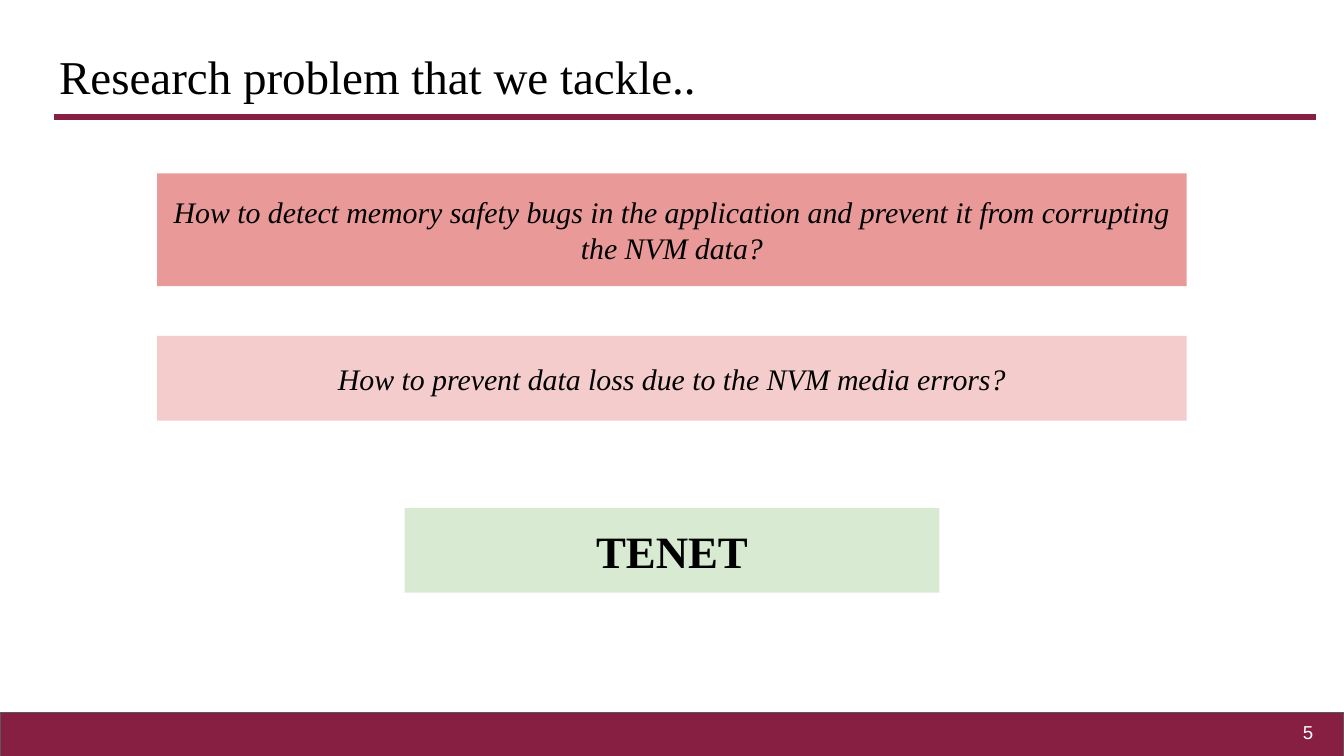
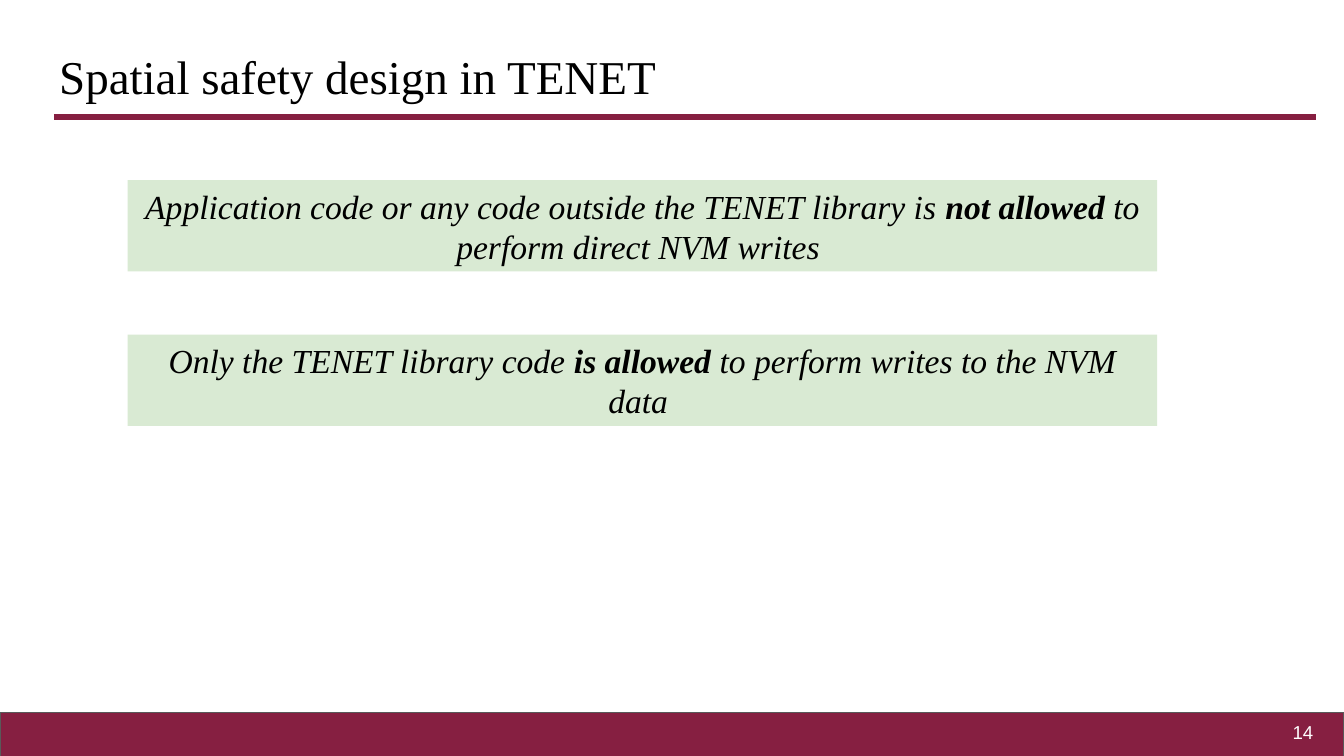
from pptx import Presentation
from pptx.dml.color import RGBColor
from pptx.enum.shapes import MSO_CONNECTOR, MSO_SHAPE
from pptx.enum.text import MSO_ANCHOR, MSO_AUTO_SIZE, PP_ALIGN
from pptx.oxml.ns import qn
from pptx.util import Inches, Pt
from lxml import etree

RECTANGLE = MSO_SHAPE.RECTANGLE
STRAIGHT = MSO_CONNECTOR.STRAIGHT
LEFT, CENTER, RIGHT = PP_ALIGN.LEFT, PP_ALIGN.CENTER, PP_ALIGN.RIGHT
MIDDLE, BOTTOM = MSO_ANCHOR.MIDDLE, MSO_ANCHOR.BOTTOM
NO_AUTOFIT = MSO_AUTO_SIZE.NONE

MAROON, GREY, WHITE, BLACK = "861F41", "595959", "FFFFFF", "000000"
ROSE, PINK, GREEN = "EA9999", "F4CCCC", "D9EAD3"
SERIF, SANS = "Times New Roman", "Arial"
PAGE_WIDTH = 10
PAGE_HEIGHT = PAGE_WIDTH * 9 / 16
TITLE_BOX = (0.34, 0.24, 9.32, 0.63)
FOOTER_BOX = (0, 5.3, PAGE_WIDTH, 0.33)
STATEMENT_WIDTH = 7.66


def color(value):
    """Turn a hex string into a colour."""
    return RGBColor.from_string(value)


def lengths(box):
    """Turn a box in inches into lengths."""
    return [Inches(value) for value in box]


def write(shape, text, size=16, font=SERIF, ink=BLACK, bold=False,
          italic=False, align=CENTER, anchor=MIDDLE):
    """Write one paragraph; words between double asterisks are bold."""
    frame = shape.text_frame
    frame.word_wrap = True
    frame.auto_size = NO_AUTOFIT
    frame.vertical_anchor = anchor
    frame.margin_left = frame.margin_right = Inches(0.1)
    frame.margin_top = frame.margin_bottom = Inches(0.1)
    para = frame.paragraphs[0]
    para.alignment = align
    for index, part in enumerate(text.split("**")):
        span = para.add_run()
        span.text = part
        span.font.size = Pt(size)
        span.font.name = font
        span.font.color.rgb = color(ink)
        span.font.bold = bold or index % 2 == 1
        span.font.italic = italic


def add_panel(page, box, fill, line=None):
    """Add a filled rectangle, outlined when a line colour is given."""
    panel = page.shapes.add_shape(RECTANGLE, *lengths(box))
    panel.shadow.inherit = False
    panel.fill.solid()
    panel.fill.fore_color.rgb = color(fill)
    if line:
        panel.line.color.rgb = color(line)
        panel.line.width = Pt(0.75)
    else:
        panel.line.fill.background()
    return panel


def add_footer(page, box, number):
    """Add the footer band with the page number at its right end."""
    left, top, width, height = box
    add_panel(page, box, MAROON, GREY)
    number_box = (left + width - 0.73, top - 0.07, 0.6, 0.43)
    label = page.shapes.add_textbox(*lengths(number_box))
    write(label, str(number), size=10, font=SANS, ink=WHITE, align=RIGHT)


def add_title(page, box, text):
    """Place the title and the rule under it."""
    left, top, width, height = box
    title = page.shapes.title
    title.left, title.top, title.width, title.height = lengths(box)
    write(title, text, size=25.2, align=LEFT, anchor=BOTTOM)
    bottom = top + height
    ends = (left + 0.06, bottom, left + width + 0.13, bottom)
    rule = page.shapes.add_connector(STRAIGHT, *lengths(ends))
    rule.line.color.rgb = color(MAROON)
    rule.line.width = Pt(3)
    etree.SubElement(rule.element.spPr, qn("a:effectLst"))


def add_page(deck, title, number):
    """Add a page with the shared title and footer."""
    page = deck.slides.add_slide(deck.slide_layouts[5])
    add_footer(page, FOOTER_BOX, number)
    add_title(page, TITLE_BOX, title)
    return page


def add_statement(page, box, text, fill, **style):
    """Add a coloured panel holding one statement."""
    write(add_panel(page, box, fill), text, **style)


def build_problem(deck):
    """Build the page with the research questions and the answer."""
    page = add_page(deck, "Research problem that we tackle..", 5)
    statements = [
        (1.29, STATEMENT_WIDTH, 0.84, ROSE, {"italic": True},
         "How to detect memory safety bugs in the application and prevent "
         "it from corrupting the NVM data?"),
        (2.5, STATEMENT_WIDTH, 0.63, PINK, {"italic": True},
         "How to prevent data loss due to the NVM media errors?"),
        (3.78, 3.98, 0.63, GREEN, {"size": 24, "bold": True}, "TENET"),
    ]
    for top, width, height, fill, style, text in statements:
        box = ((PAGE_WIDTH - width) / 2, top, width, height)
        add_statement(page, box, text, fill, **style)


def build_design(deck):
    """Build the page with the two rules for writes."""
    page = add_page(deck, "Spatial safety design in TENET", 14)
    rules = [
        "Application code or any code outside the TENET library is "
        "**not allowed** to perform direct NVM writes ",
        "Only the TENET library code **is allowed** to perform writes "
        "to the NVM data ",
    ]
    for index, text in enumerate(rules):
        box = (0.95, 1.34 + 1.15 * index, STATEMENT_WIDTH, 0.68)
        add_statement(page, box, text, GREEN, size=18, italic=True)


def main():
    """Build the deck and save it."""
    deck = Presentation()
    deck.slide_width = Inches(PAGE_WIDTH)
    deck.slide_height = Inches(PAGE_HEIGHT)
    build_problem(deck)
    build_design(deck)
    deck.save("out.pptx")


if __name__ == "__main__":
    main()
